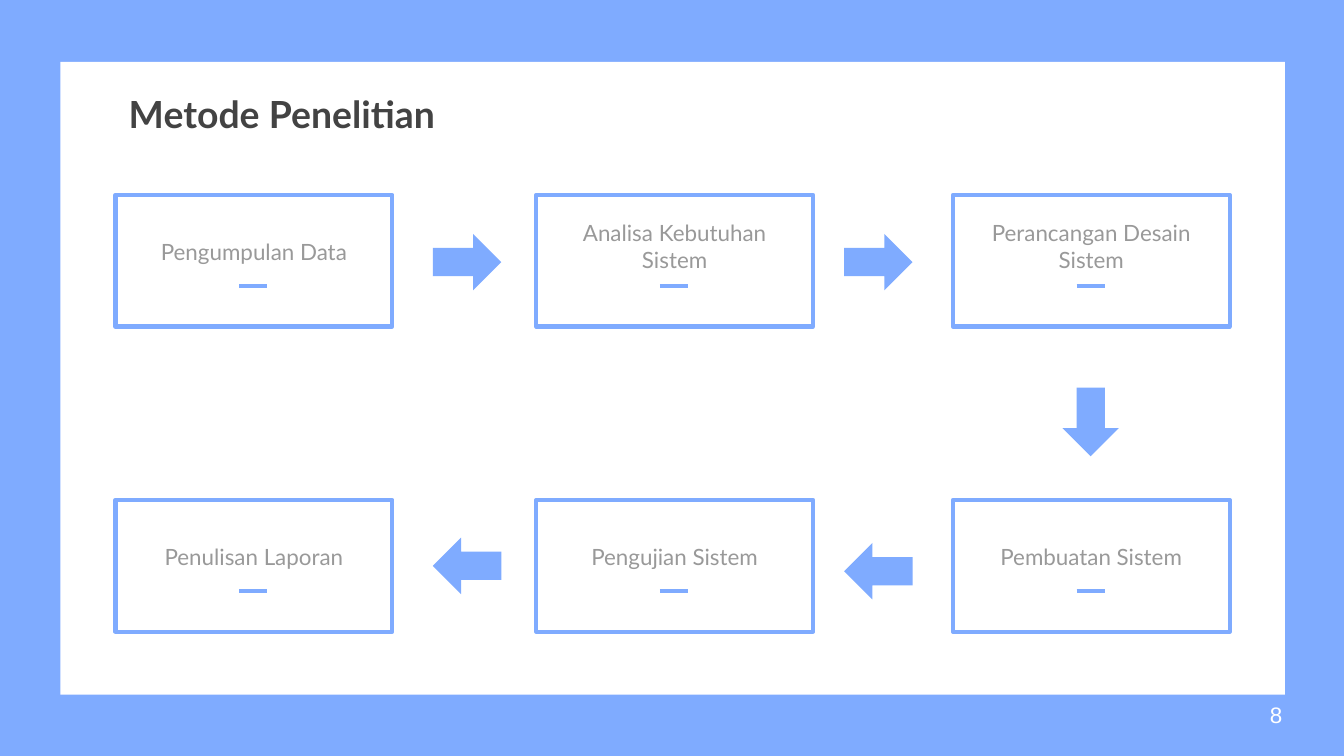
from dataclasses import dataclass

from lxml import etree
from pptx import Presentation
from pptx import util as u
from pptx.dml.color import RGBColor
from pptx.enum import shapes, text
from pptx.oxml.ns import qn

COLORS = {"blue": "7FABFF", "white": "FFFFFF", "title": "434343", "label": "999999"}

# A 16:9 slide, in inches
SLIDE_WIDTH = 10
SLIDE_HEIGHT = SLIDE_WIDTH * 9 / 16

# Grid of step boxes, in inches
COLUMNS = (0.86, 3.99, 7.09)
ROWS = (1.45, 3.72)
BOX_WIDTH, BOX_HEIGHT = 2.06, 0.98
LABEL_WIDTH, LABEL_HEIGHT = 1.85, 0.31
DASH_WIDTH, DASH_LEFT, DASH_DROP = 0.21, 0.92, 0.68
ARROW_WIDTH, ARROW_HEIGHT = 0.51, 0.42
LINE_WEIGHT = 2.25


@dataclass(frozen=True)
class Step:
    label: str
    column: int
    row: int
    label_drop: float = 0.22


@dataclass(frozen=True)
class Arrow:
    left: float
    top: float
    rotation: int = 0


STEPS = (
    Step("Pengumpulan Data", 0, 0),
    Step("Analisa Kebutuhan Sistem", 1, 0, label_drop=0.08),
    Step("Perancangan Desain Sistem", 2, 0, label_drop=0.08),
    Step("Pembuatan Sistem", 2, 1),
    Step("Pengujian Sistem", 1, 1),
    Step("Penulisan Laporan", 0, 1),
)
ARROWS = (
    Arrow(3.22, 1.74),
    Arrow(6.28, 1.74),
    Arrow(7.86, 2.93, rotation=90),
    Arrow(6.28, 4.04, rotation=180),
    Arrow(3.22, 4.0, rotation=180),
)


def color(name: str) -> RGBColor:
    return RGBColor.from_string(COLORS[name])


def add_shape(slide, kind, left: float, top: float, width: float, height: float,
              *, fill: str | None = None, line: str | None = None):
    shape = slide.shapes.add_shape(kind, *map(u.Inches, (left, top, width, height)))
    shape.shadow.inherit = False
    if fill:
        shape.fill.solid()
        shape.fill.fore_color.rgb = color(fill)
    else:
        shape.fill.background()
    if line:
        shape.line.color.rgb = color(line)
        shape.line.width = u.Pt(LINE_WEIGHT)
    else:
        shape.line.fill.background()
    return shape


def add_text(slide, content: str, left: float, top: float, width: float, height: float,
             *, ink: str, size: float = 12, font: str = "Lato", bold: bool = False,
             align=text.PP_ALIGN.LEFT, anchor=text.MSO_ANCHOR.TOP) -> None:
    box = slide.shapes.add_textbox(*map(u.Inches, (left, top, width, height)))
    frame = box.text_frame
    frame.word_wrap = True
    frame.vertical_anchor = anchor
    frame.margin_left = frame.margin_right = u.Inches(0.1)
    frame.margin_top = frame.margin_bottom = u.Inches(0.1)
    paragraph = frame.paragraphs[0]
    paragraph.alignment = align
    run = paragraph.add_run()
    run.text = content
    run.font.name = font
    run.font.size = u.Pt(size)
    run.font.bold = bold
    run.font.color.rgb = color(ink)


def add_dash(slide, left: float, top: float) -> None:
    ends = (left, top, left + DASH_WIDTH, top)
    connector = slide.shapes.add_connector(
        shapes.MSO_CONNECTOR.STRAIGHT, *map(u.Inches, ends))
    connector.line.color.rgb = color("blue")
    connector.line.width = u.Pt(LINE_WEIGHT)
    etree.SubElement(connector._element.spPr, qn("a:effectLst"))


def add_step(slide, step: Step) -> None:
    left, top = COLUMNS[step.column], ROWS[step.row]
    label_left = left + (BOX_WIDTH - LABEL_WIDTH) / 2
    add_shape(slide, shapes.MSO_SHAPE.RECTANGLE, left, top, BOX_WIDTH, BOX_HEIGHT,
              line="blue")
    add_text(slide, step.label, label_left, top + step.label_drop,
             LABEL_WIDTH, LABEL_HEIGHT, ink="label", align=text.PP_ALIGN.CENTER)
    add_dash(slide, left + DASH_LEFT, top + DASH_DROP)


def add_arrow(slide, arrow: Arrow) -> None:
    shape = add_shape(slide, shapes.MSO_SHAPE.RIGHT_ARROW, arrow.left, arrow.top,
                      ARROW_WIDTH, ARROW_HEIGHT, fill="blue")
    shape.rotation = arrow.rotation


def main() -> None:
    presentation = Presentation()
    presentation.slide_width = u.Inches(SLIDE_WIDTH)
    presentation.slide_height = u.Inches(SLIDE_HEIGHT)
    slide = presentation.slides.add_slide(presentation.slide_layouts[6])

    # Blue frame around a white panel
    slide.background.fill.solid()
    slide.background.fill.fore_color.rgb = color("blue")
    add_shape(slide, shapes.MSO_SHAPE.RECTANGLE, 0.45, 0.46, 9.11, 4.71, fill="white")

    # Title and page number
    add_text(slide, "Metode Penelitian", COLUMNS[0], 0.68, 8.33, 0.43, ink="title",
             size=20, bold=True, anchor=text.MSO_ANCHOR.BOTTOM)
    add_text(slide, "8", 9.35, 5.1, 0.6, 0.43, ink="white", font="Arial",
             anchor=text.MSO_ANCHOR.MIDDLE)

    # Process steps and the arrows between them
    for step in STEPS:
        add_step(slide, step)
    for arrow in ARROWS:
        add_arrow(slide, arrow)

    presentation.save("out.pptx")


if __name__ == "__main__":
    main()
